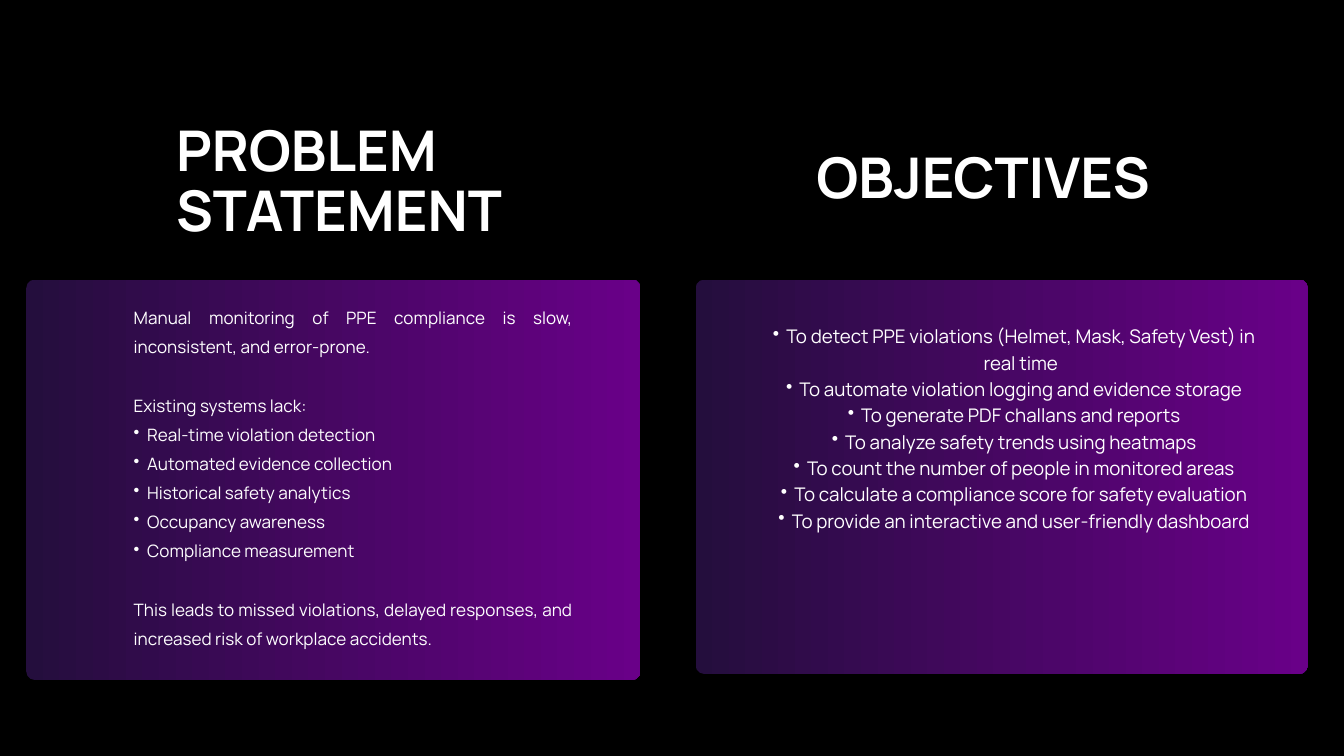
from dataclasses import dataclass

from lxml import etree
from pptx import Presentation
from pptx import util as u
from pptx.dml.color import RGBColor
from pptx.enum import shapes, text
from pptx.oxml.ns import qn


@dataclass(frozen=True)
class Theme:
    font: str = "Manrope"
    background: str = "000000"
    ink: str = "FFFFFF"
    panel_start: str = "240E3D"
    panel_end: str = "690088"
    title_size: float = 60.1
    title_leading: float = 64.3
    problem_size: float = 18.3
    problem_leading: float = 31.2
    goal_size: float = 20.1
    goal_leading: float = 28.2
    corner: float = 0.13
    bullet_indent: float = 0.2


class SlideBuilder:
    def __init__(self, page, theme):
        self.page = page
        self.theme = theme
        fill = page.background.fill
        fill.solid()
        fill.fore_color.rgb = RGBColor.from_string(theme.background)

    def panel(self, left, top, width, height):
        card = self.page.shapes.add_shape(
            shapes.MSO_SHAPE.ROUNDED_RECTANGLE,
            u.Inches(left), u.Inches(top), u.Inches(width), u.Inches(height))
        card.adjustments[0] = self.theme.corner / min(width, height)
        card.shadow.inherit = False
        card.line.fill.background()
        card.fill.gradient()
        card.fill.gradient_angle = 0
        colors = (self.theme.panel_start, self.theme.panel_end)
        for stop, color in zip(card.fill.gradient_stops, colors):
            stop.color.rgb = RGBColor.from_string(color)

    def text_box(self, left, top, width, height):
        box = self.page.shapes.add_textbox(
            u.Inches(left), u.Inches(top), u.Inches(width), u.Inches(height))
        frame = box.text_frame
        frame.word_wrap = True
        frame.margin_left = frame.margin_right = 0
        frame.margin_top = frame.margin_bottom = 0
        return frame

    def bullet(self, para):
        props = para._p.get_or_add_pPr()
        indent = u.Inches(self.theme.bullet_indent)
        props.set("marL", str(indent))
        props.set("indent", str(-indent))
        etree.SubElement(props, qn("a:buChar")).set("char", "•")

    def set_para(self, para, words, size, leading, align, bold=False, bulleted=False):
        para.text = words
        para.alignment = align
        para.line_spacing = u.Pt(leading)
        if bulleted:
            self.bullet(para)
        para.font.name = self.theme.font
        para.font.size = u.Pt(size)
        para.font.bold = bold
        para.font.color.rgb = RGBColor.from_string(self.theme.ink)

    def title(self, words, left, top, width, height):
        frame = self.text_box(left, top, width, height)
        self.set_para(frame.paragraphs[0], words, self.theme.title_size,
                      self.theme.title_leading, text.PP_ALIGN.LEFT, bold=True)

    def body(self, groups, bounds, size, leading, align):
        frame = self.text_box(*bounds)
        para = frame.paragraphs[0]
        for number, (intro, items) in enumerate(groups):
            lines = [(intro, False)] if intro else []
            lines += [(item, True) for item in items]
            for position, (words, bulleted) in enumerate(lines):
                if number or position:
                    para = frame.add_paragraph()
                self.set_para(para, words, size, leading, align, bulleted=bulleted)
                if number and position == 0:
                    para.space_before = u.Pt(leading)


PROBLEM = [
    ("Manual monitoring of PPE compliance is slow, inconsistent, and error-prone.", []),
    ("Existing systems lack:", [
        "Real-time violation detection",
        "Automated evidence collection",
        "Historical safety analytics",
        "Occupancy awareness",
        "Compliance measurement",
    ]),
    ("This leads to missed violations, delayed responses, and increased risk "
     "of workplace accidents.", []),
]

GOALS = [
    (None, [
        "To detect PPE violations (Helmet, Mask, Safety Vest) in real time",
        "To automate violation logging and evidence storage",
        "To generate PDF challans and reports",
        "To analyze safety trends using heatmaps",
        "To count the number of people in monitored areas",
        "To calculate a compliance score for safety evaluation",
        "To provide an interactive and user-friendly dashboard",
    ]),
]


def main():
    theme = Theme()
    deck = Presentation()
    deck.slide_width = u.Inches(20)
    deck.slide_height = u.Inches(11.25)
    builder = SlideBuilder(deck.slides.add_slide(deck.slide_layouts[6]), theme)

    builder.panel(0.39, 4.16, 9.14, 5.96)
    builder.title("PROBLEM STATEMENT", 2.62, 1.82, 5.89, 1.87)
    builder.body(PROBLEM, (1.99, 4.45, 6.53, 5.58), theme.problem_size,
                 theme.problem_leading, text.PP_ALIGN.JUSTIFY)

    builder.title("OBJECTIVES", 12.15, 2.23, 5.89, 0.98)
    builder.panel(10.35, 4.16, 9.11, 5.87)
    builder.body(GOALS, (11.36, 4.78, 7.46, 4.67), theme.goal_size,
                 theme.goal_leading, text.PP_ALIGN.CENTER)

    deck.save("out.pptx")


if __name__ == "__main__":
    main()
